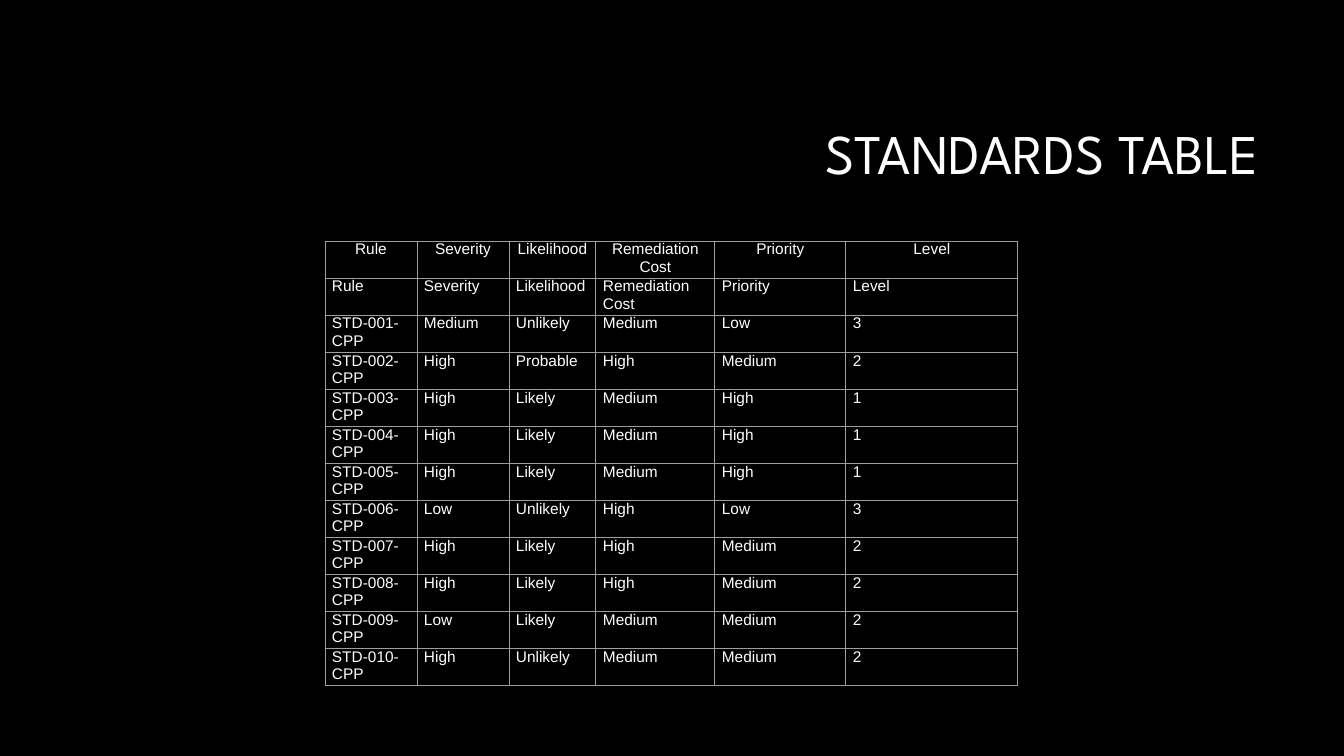
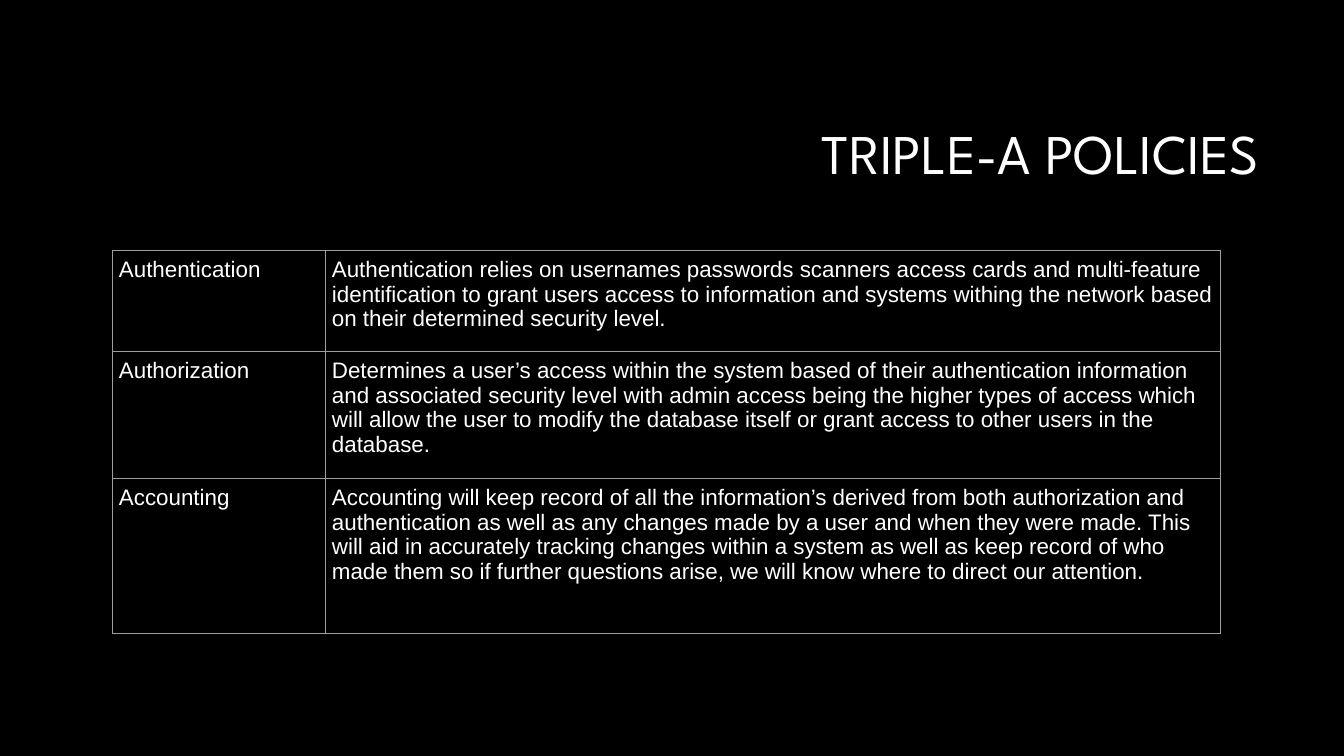
from lxml import etree
from pptx import Presentation
from pptx import util as u
from pptx.dml.color import RGBColor
from pptx.enum import text
from pptx.oxml import parse_xml
from pptx.oxml.ns import nsdecls

# Shared look
PX = 914400 / 100.8
BLACK = RGBColor(0x00, 0x00, 0x00)
WHITE = RGBColor(0xFF, 0xFF, 0xFF)
GREY = RGBColor(0x9E, 0x9E, 0x9E)
LEFT, MID, RIGHT = text.PP_ALIGN.LEFT, text.PP_ALIGN.CENTER, text.PP_ALIGN.RIGHT
TITLE = {"name": "League Spartan", "size": u.Pt(40)}
SMALL = {"name": "Arial", "size": u.Pt(11)}
BODY = {"name": "Arial", "size": u.Pt(16)}


def px(n):
    return u.Emu(round(n * PX))


def write(frame, words, font, align):
    para = frame.paragraphs[0]
    para.alignment = align
    run = para.add_run()
    run.text = words
    for key, val in font.items():
        setattr(run.font, key, val)
    run.font.color.rgb = WHITE
    return para


# Standards: ten rules below a heading that appears twice
heads = ["Rule", "Severity", "Likelihood", "Remediation Cost", "Priority", "Level"]
marks = [
    ["Medium", "Unlikely", "Medium", "Low", "3"],
    ["High", "Probable", "High", "Medium", "2"],
    ["High", "Likely", "Medium", "High", "1"],
    ["High", "Likely", "Medium", "High", "1"],
    ["High", "Likely", "Medium", "High", "1"],
    ["Low", "Unlikely", "High", "Low", "3"],
    ["High", "Likely", "High", "Medium", "2"],
    ["High", "Likely", "High", "Medium", "2"],
    ["Low", "Likely", "Medium", "Medium", "2"],
    ["High", "Unlikely", "Medium", "Medium", "2"],
]
rules = [heads, heads] + [[f"STD-{n:03}-CPP", *row] for n, row in enumerate(marks, 1)]

# Policies: name and meaning
terms = [
    ["Authentication",
     "Authentication relies on usernames passwords scanners access cards and "
     "multi-feature identification to grant users access to information and systems "
     "withing the network based on their determined security level."],
    ["Authorization",
     "Determines a user’s access within the system based of their authentication "
     "information and associated security level with admin access being the higher "
     "types of access which will allow the user to modify the database itself or "
     "grant access to other users in the database."],
    ["Accounting",
     "Accounting will keep record of all the information’s derived from both "
     "authorization and authentication as well as any changes made by a user and when "
     "they were made. This will aid in accurately tracking changes within a system as "
     "well as keep record of who made them so if further questions arise, we will know "
     "where to direct our attention."],
]

pages = [
    {"title": "STANDARDS TABLE", "data": rules, "at": (325, 241), "font": SMALL,
     "cols": [92, 92, 87, 119, 131, 172], "rows": [37] * len(rules),
     "pad": 0, "top": MID},
    {"title": "TRIPLE-A POLICIES", "data": terms, "at": (112, 250), "font": BODY,
     "cols": [213, 896], "rows": [101, 127, 155],
     "pad": 7, "top": LEFT},
]

deck = Presentation()
deck.slide_width, deck.slide_height = px(1344), px(756)

for page in pages:
    slide = deck.slides.add_slide(deck.slide_layouts[6])
    back = slide.background.fill
    back.solid()
    back.fore_color.rgb = BLACK

    # Title
    frame = slide.shapes.add_textbox(px(320), px(85), px(949), px(142)).text_frame
    frame.word_wrap = True
    frame.vertical_anchor = text.MSO_ANCHOR.MIDDLE
    write(frame, page["title"], TITLE, RIGHT).line_spacing = 0.9

    # Table size
    cols, rows = page["cols"], page["rows"]
    box = (*page["at"], sum(cols), sum(rows))
    grid = slide.shapes.add_table(len(rows), len(cols), *map(px, box)).table
    grid.first_row = grid.horz_banding = False
    for col, wide in zip(grid.columns, cols):
        col.width = px(wide)
    for row, high in zip(grid.rows, rows):
        row.height = px(high)

    # Cells
    pad = px(page["pad"])
    form = {"margin_left": px(7), "margin_right": px(7),
            "margin_top": pad, "margin_bottom": pad,
            "vertical_anchor": text.MSO_ANCHOR.TOP}
    for r, line in enumerate(page["data"]):
        for c, words in enumerate(line):
            cell = grid.cell(r, c)
            for key, val in form.items():
                setattr(cell, key, val)
            cell.fill.solid()
            cell.fill.fore_color.rgb = BLACK
            write(cell.text_frame, words, page["font"], LEFT if r else page["top"])
            # Borders stand before the fill
            props = cell._tc.get_or_add_tcPr()
            for i, side in enumerate("LRTB"):
                edge = parse_xml(f'<a:ln{side} {nsdecls("a")} w="{u.Pt(0.75)}"/>')
                fill = etree.SubElement(edge, "{%s}solidFill" % edge.nsmap["a"])
                etree.SubElement(fill, "{%s}srgbClr" % edge.nsmap["a"], val=str(GREY))
                props.insert(i, edge)

deck.save("out.pptx")
